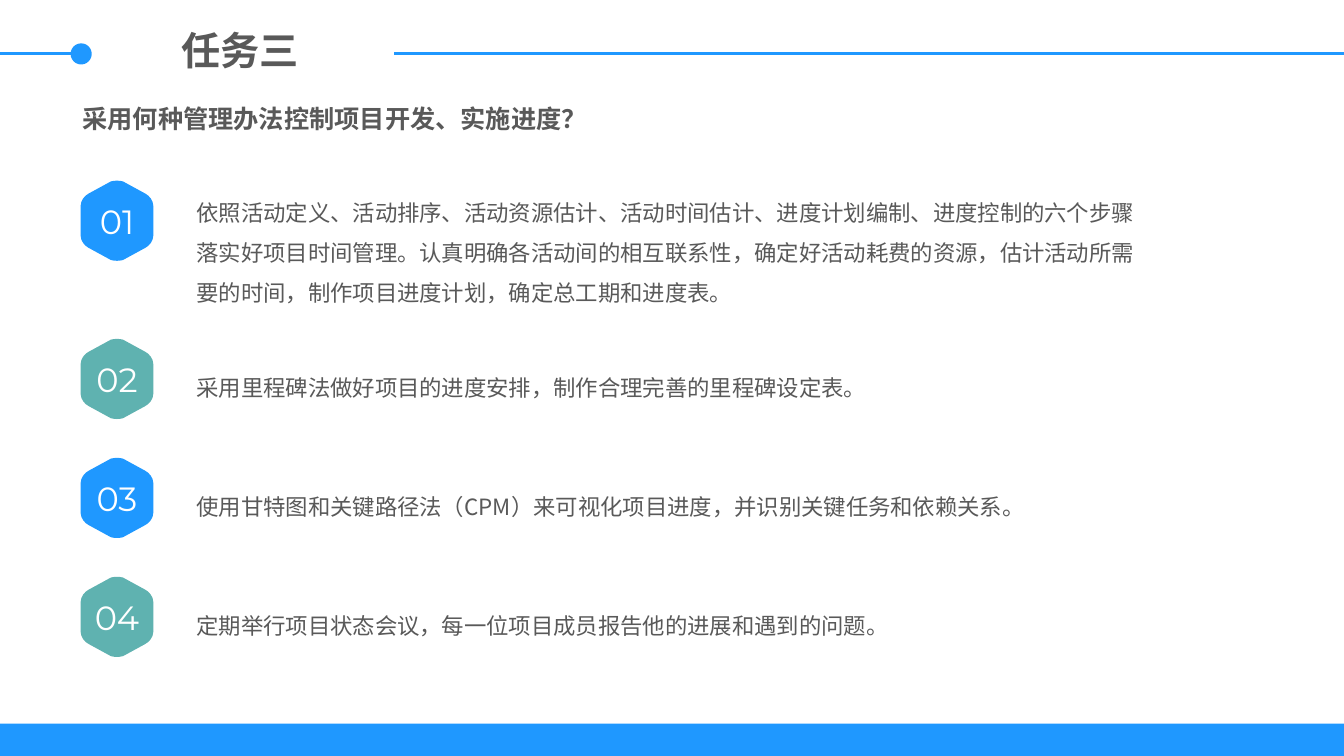
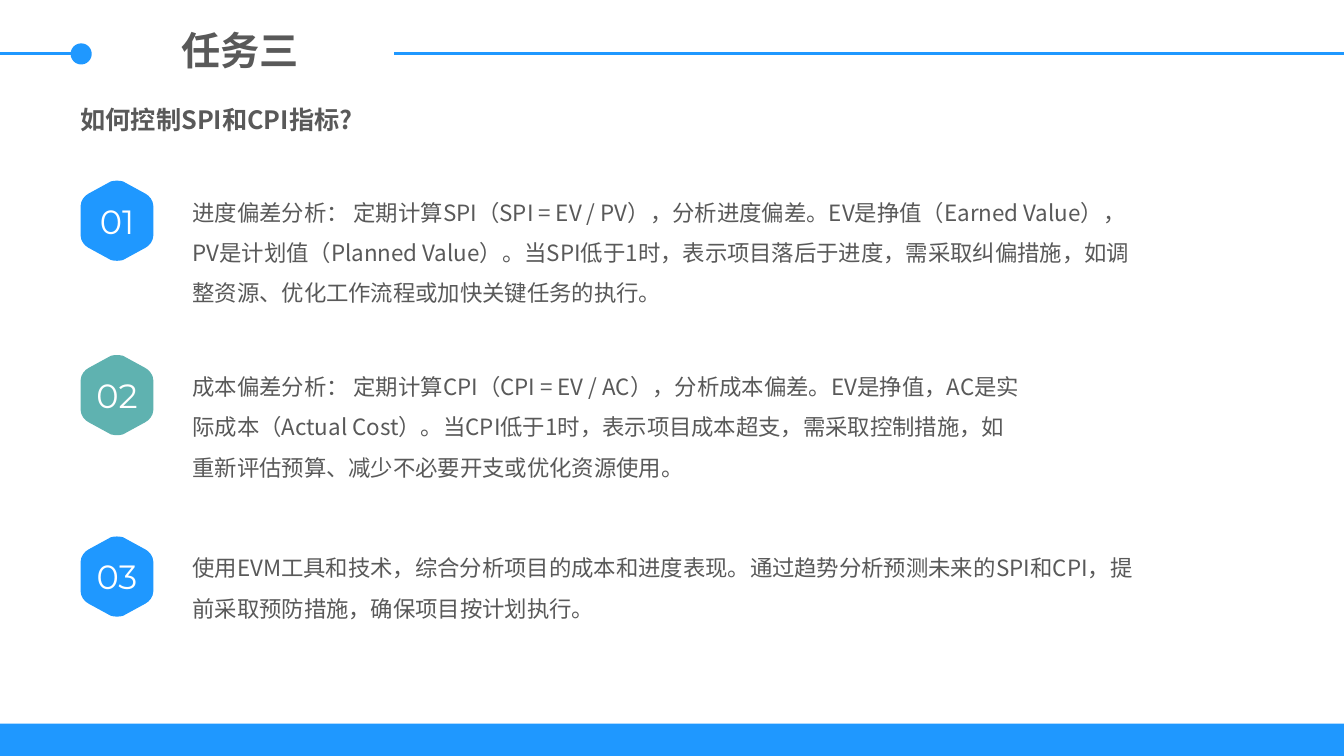
"""Build two task slides with numbered hexagon lists under a shared header and footer."""
from lxml.etree import SubElement
from pptx import Presentation
from pptx.dml.color import RGBColor
from pptx.enum.shapes import MSO_CONNECTOR, MSO_SHAPE
from pptx.enum.text import MSO_ANCHOR, MSO_AUTO_SIZE, PP_ALIGN
from pptx.oxml.ns import qn
from pptx.util import Inches, Pt

COLORS = {"blue": "1F98FF", "teal": "5FB2B0", "text": "595959", "white": "FFFFFF"}
CJK = "Noto Sans CJK SC"
HEX_X, HEX_W, HEX_H = 0.8, 0.72, 0.8

RIGHT_CORNERS = [
    [(-0.06, -0.39), (-0.02, -0.4), (0.02, -0.4), (0.06, -0.39)],
    [(0.28, -0.27), (0.32, -0.25), (0.36, -0.2), (0.36, -0.15)],
    [(0.36, 0.15), (0.36, 0.2), (0.32, 0.25), (0.28, 0.27)],
]
LEFT_CORNERS = [[(-x, -y) for x, y in corner] for corner in RIGHT_CORNERS]
CORNERS = RIGHT_CORNERS + LEFT_CORNERS

SLIDES = [
    {
        "question": ("采用何种管理办法控制项目开发、实施进度？", 0.72, 0.98, 0.4),
        "text_x": 1.85,
        "items": [
            (1.79, 9.71, 1.27, "依照活动定义、活动排序、活动资源估计、活动时间估计、进度计划编制、进度控制的六个步骤"
             "落实好项目时间管理。认真明确各活动间的相互联系性，确定好活动耗费的资源，估计活动所需"
             "要的时间，制作项目进度计划，确定总工期和进度表。"),
            (3.36, 8.45, 0.46, "采用里程碑法做好项目的进度安排，制作合理完善的里程碑设定表。"),
            (4.54, 9.71, 0.46, "使用甘特图和关键路径法（CPM）来可视化项目进度，并识别关键任务和依赖关系。"),
            (5.72, 8.45, 0.46, "定期举行项目状态会议，每一位项目成员报告他的进展和遇到的问题。"),
        ],
    },
    {
        "question": ("如何控制SPI和CPI指标?", 0.7, 0.99, 0.71),
        "text_x": 1.81,
        "items": [
            (1.79, 9.71, 1.27, "进度偏差分析： 定期计算SPI（SPI = EV / PV），分析进度偏差。"
             "EV是挣值（Earned Value），PV是计划值（Planned Value）。当SPI低于1时，"
             "表示项目落后于进度，需采取纠偏措施，如调整资源、优化工作流程或加快关键任务的执行。"),
            (3.52, 8.45, 1.27, "成本偏差分析： 定期计算CPI（CPI = EV / AC），分析成本偏差。"
             "EV是挣值，AC是实际成本（Actual Cost）。当CPI低于1时，表示项目成本超支，"
             "需采取控制措施，如重新评估预算、减少不必要开支或优化资源使用。"),
            (5.32, 9.71, 0.86, "使用EVM工具和技术，综合分析项目的成本和进度表现。"
             "通过趋势分析预测未来的SPI和CPI，提前采取预防措施，确保项目按计划执行。"),
        ],
    },
]


def write(sp, text, size, color="text", font=CJK, bold=False, align=PP_ALIGN.LEFT, spacing=None):
    tf = sp.text_frame
    tf.word_wrap = True
    p = tf.paragraphs[0]
    p.text = text
    p.alignment = align
    p.line_spacing = spacing
    r = p.runs[0]
    r.font.size = Pt(size)
    r.font.bold = bold
    r.font.name = font
    r.font.color.rgb = RGBColor.from_string(COLORS[color])
    SubElement(r.font._element, qn("a:ea"), typeface=font)


def paint(sp, color):
    sp.shadow.inherit = False
    sp.fill.solid()
    sp.fill.fore_color.rgb = RGBColor.from_string(COLORS[color])
    sp.line.fill.background()


prs = Presentation()
prs.slide_width, prs.slide_height = Inches(13.33), Inches(7.5)

for page in SLIDES:
    s = prs.slides.add_slide(prs.slide_layouts[6])

    title = s.shapes.add_textbox(Inches(0.99), Inches(0.21), Inches(2.78), Inches(0.57))
    title.text_frame.auto_size = MSO_AUTO_SIZE.SHAPE_TO_FIT_TEXT
    write(title, "任务三", 28, bold=True, align=PP_ALIGN.CENTER)

    for x1, x2 in ((0, 0.72), (3.91, 13.33)):
        line = s.shapes.add_connector(MSO_CONNECTOR.STRAIGHT, Inches(x1), Inches(0.53),
                                      Inches(x2), Inches(0.53))
        line.line.color.rgb = RGBColor.from_string(COLORS["blue"])
        line.line.width = Pt(2.25)
        SubElement(line._element.spPr, qn("a:effectLst"))
    for kind, x, y, w, h in ((MSO_SHAPE.OVAL, 0.7, 0.43, 0.21, 0.21),
                             (MSO_SHAPE.RECTANGLE, 0, 7.18, 13.33, 0.34)):
        paint(s.shapes.add_shape(kind, Inches(x), Inches(y), Inches(w), Inches(h)), "blue")

    for n, (top, w, h, text) in enumerate(page["items"], 1):
        cx, cy = HEX_X + HEX_W / 2, top + HEX_H / 2
        points = [(Inches(cx + dx), Inches(cy + dy)) for corner in CORNERS for dx, dy in corner]
        fb = s.shapes.build_freeform(*points[0])
        fb.add_line_segments(points[1:], close=True)
        badge = fb.convert_to_shape()
        segments = badge._element.xpath(".//a:lnTo")
        for i in range(0, len(segments), 4):
            curve, *rest = segments[i:i + 3]
            curve.tag = qn("a:cubicBezTo")
            for segment in rest:
                curve.append(segment[0])
                segment.getparent().remove(segment)
        paint(badge, "blue" if n % 2 else "teal")
        tf = badge.text_frame
        tf.margin_left = tf.margin_right = 0
        tf.vertical_anchor = MSO_ANCHOR.MIDDLE
        write(badge, f"{n:02}", 24, "white", "Montserrat", align=PP_ALIGN.CENTER)

        y = top + max(0, (HEX_H - h) / 2)
        body = s.shapes.add_textbox(Inches(page["text_x"]), Inches(y), Inches(w), Inches(h))
        body.text_frame.auto_size = MSO_AUTO_SIZE.SHAPE_TO_FIT_TEXT
        write(body, text, 16, spacing=1.5)

    text, x, y, h = page["question"]
    question = s.shapes.add_textbox(Inches(x), Inches(y), Inches(6.68), Inches(h))
    question.text_frame.auto_size = MSO_AUTO_SIZE.SHAPE_TO_FIT_TEXT
    write(question, text, 18, bold=True)

prs.save("out.pptx")
